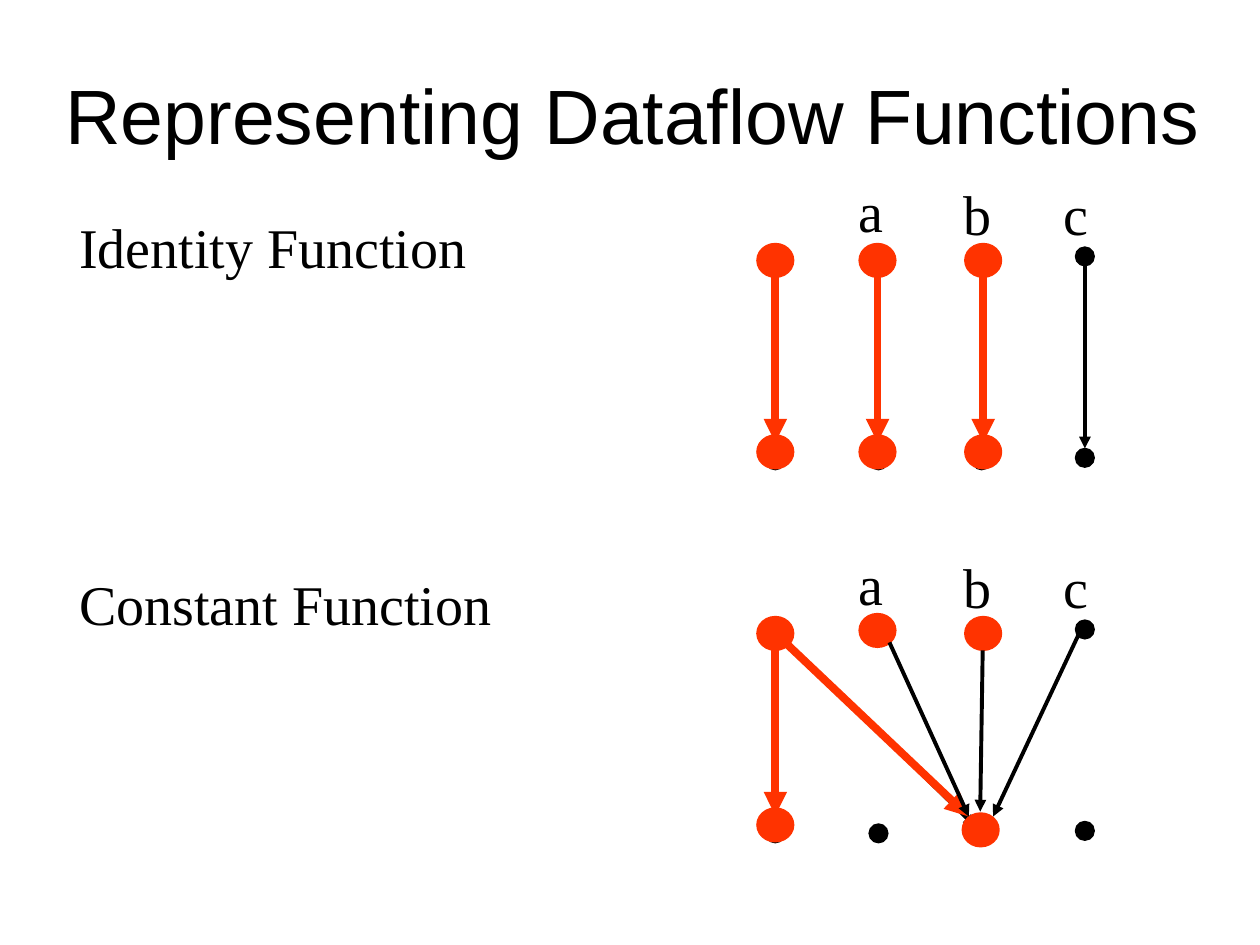
from dataclasses import dataclass

from lxml.etree import SubElement
from pptx import Presentation
from pptx.dml.color import RGBColor
from pptx.enum.shapes import MSO_CONNECTOR, MSO_SHAPE
from pptx.enum.text import MSO_ANCHOR, MSO_AUTO_SIZE, PP_ALIGN
from pptx.oxml.ns import qn
from pptx.slide import Slide
from pptx.text.text import TextFrame
from pptx.util import Cm, Pt


@dataclass(frozen=True)
class Theme:
    black: RGBColor = RGBColor(0, 0, 0)
    red: RGBColor = RGBColor(0xFF, 0x33, 0x00)
    title_font: str = "Arial"
    body_font: str = "Times New Roman"
    title_size: int = 44
    body_size: int = 32


@dataclass(frozen=True)
class Dot:
    x: float
    y: float
    w: float
    h: float
    color: RGBColor
    line: float


@dataclass(frozen=True)
class Arrow:
    x1: float
    y1: float
    x2: float
    y2: float
    color: RGBColor
    width: float


@dataclass(frozen=True)
class Label:
    text: str
    x: float
    y: float
    w: float


THEME = Theme()
GRAPH_GAP = 7.52
NODE_XS = [15.63 + 2.08 * i for i in range(4)]
NODE_YS = [5.22, 5.22, 5.22, 5.17]
NODE_DROP = 4.06
FACT_XS = [15.63, 17.69, 19.82]
FACT_TOP, FACT_BOTTOM = 5.25, 9.11


def node(x: float, y: float) -> Dot:
    return Dot(x, y, 0.38, 0.38, THEME.black, 0.75)


def fact(x: float, y: float) -> Dot:
    return Dot(x, y, 0.69, 0.63, THEME.red, 2.25)


def edge(x1: float, y1: float, x2: float, y2: float) -> Arrow:
    return Arrow(x1, y1, x2, y2, THEME.black, 2.25)


def fact_edge(x1: float, y1: float, x2: float, y2: float) -> Arrow:
    return Arrow(x1, y1, x2, y2, THEME.red, 4.5)


def format_text(tf: TextFrame, text: str, font: str, size: int) -> None:
    tf.text = text
    f = tf.paragraphs[0].runs[0].font
    f.name, f.size, f.color.rgb = font, Pt(size), THEME.black


def add_dot(s: Slide, d: Dot) -> None:
    sp = s.shapes.add_shape(MSO_SHAPE.OVAL, Cm(d.x - d.w / 2), Cm(d.y - d.h / 2), Cm(d.w), Cm(d.h))
    sp.shadow.inherit = False
    sp.fill.solid()
    sp.fill.fore_color.rgb = d.color
    sp.line.color.rgb = d.color
    sp.line.width = Pt(d.line)


def add_arrow(s: Slide, a: Arrow) -> None:
    cx = s.shapes.add_connector(MSO_CONNECTOR.STRAIGHT, Cm(a.x1), Cm(a.y1), Cm(a.x2), Cm(a.y2))
    cx.line.color.rgb = a.color
    cx.line.width = Pt(a.width)
    SubElement(cx.line._get_or_add_ln(), qn("a:tailEnd"), type="triangle")
    SubElement(cx._element.spPr, qn("a:effectLst"))


def add_label(s: Slide, t: Label) -> None:
    tf = s.shapes.add_textbox(Cm(t.x), Cm(t.y), Cm(t.w), Cm(1.55)).text_frame
    tf.margin_left = tf.margin_right = Cm(0.1)
    tf.margin_top = tf.margin_bottom = 0
    tf.word_wrap = False
    tf.auto_size = MSO_AUTO_SIZE.SHAPE_TO_FIT_TEXT
    format_text(tf, t.text, THEME.body_font, THEME.body_size)


def add_nodes(s: Slide, dy: float) -> None:
    for drop in (0, NODE_DROP):
        for x, y in zip(NODE_XS, NODE_YS):
            add_dot(s, node(x, y + drop + dy))
    for text, x, y, w in (("a", 17.2, 3.56, 0.94), ("b", 19.33, 3.61, 0.99), ("c", 21.34, 3.61, 0.94)):
        add_label(s, Label(text, x, y + dy, w))


def add_node_edge(s: Slide, i: int, dy: float) -> None:
    y = NODE_YS[i] + dy
    add_arrow(s, edge(NODE_XS[i], y + 0.16, NODE_XS[i], y + NODE_DROP - 0.19))


def add_fact_path(s: Slide, x: float, dy: float) -> None:
    add_dot(s, fact(x, FACT_TOP + dy))
    add_dot(s, fact(x, FACT_BOTTOM + dy))
    add_arrow(s, fact_edge(x, FACT_TOP + dy + 0.29, x, FACT_BOTTOM + dy - 0.19))


def add_identity(s: Slide) -> None:
    add_label(s, Label("Identity Function", 1.5, 4.29, 8.23))
    add_nodes(s, 0)
    for i in range(len(NODE_XS)):
        add_node_edge(s, i, 0)
    for x in FACT_XS:
        add_fact_path(s, x, 0)


def add_constant(s: Slide) -> None:
    add_label(s, Label("Constant Function", 1.5, 11.48, 8.74))
    add_nodes(s, GRAPH_GAP)
    add_node_edge(s, 0, GRAPH_GAP)
    add_arrow(s, edge(15.77, 12.85, 19.66, 16.66))
    add_dot(s, fact(FACT_XS[1], 12.71))
    add_dot(s, fact(FACT_XS[2], FACT_TOP + GRAPH_GAP))
    add_fact_path(s, FACT_XS[0], GRAPH_GAP)
    add_dot(s, fact(19.77, 16.73))
    for a in (
        fact_edge(15.88, 13, 19.53, 16.46),
        edge(17.93, 12.95, 19.53, 16.46),
        edge(19.81, 13.11, 19.76, 16.36),
        edge(21.74, 12.8, 20.02, 16.46),
    ):
        add_arrow(s, a)


def add_title(s: Slide) -> None:
    title = s.shapes.title
    title.left, title.top, title.width, title.height = Cm(0.66), Cm(0.15), Cm(24.31), Cm(4.29)
    tf = title.text_frame
    tf.margin_left, tf.margin_right = Cm(0.25), Cm(0.36)
    tf.margin_top = tf.margin_bottom = Cm(0.15)
    tf.vertical_anchor = MSO_ANCHOR.MIDDLE
    format_text(tf, "Representing Dataflow Functions", THEME.title_font, THEME.title_size)
    tf.paragraphs[0].alignment = PP_ALIGN.CENTER


def main() -> None:
    prs = Presentation()
    prs.slide_width, prs.slide_height = Cm(25.4), Cm(19.05)
    s = prs.slides.add_slide(prs.slide_layouts[5])
    add_title(s)
    add_identity(s)
    add_constant(s)
    prs.save("out.pptx")


if __name__ == "__main__":
    main()
